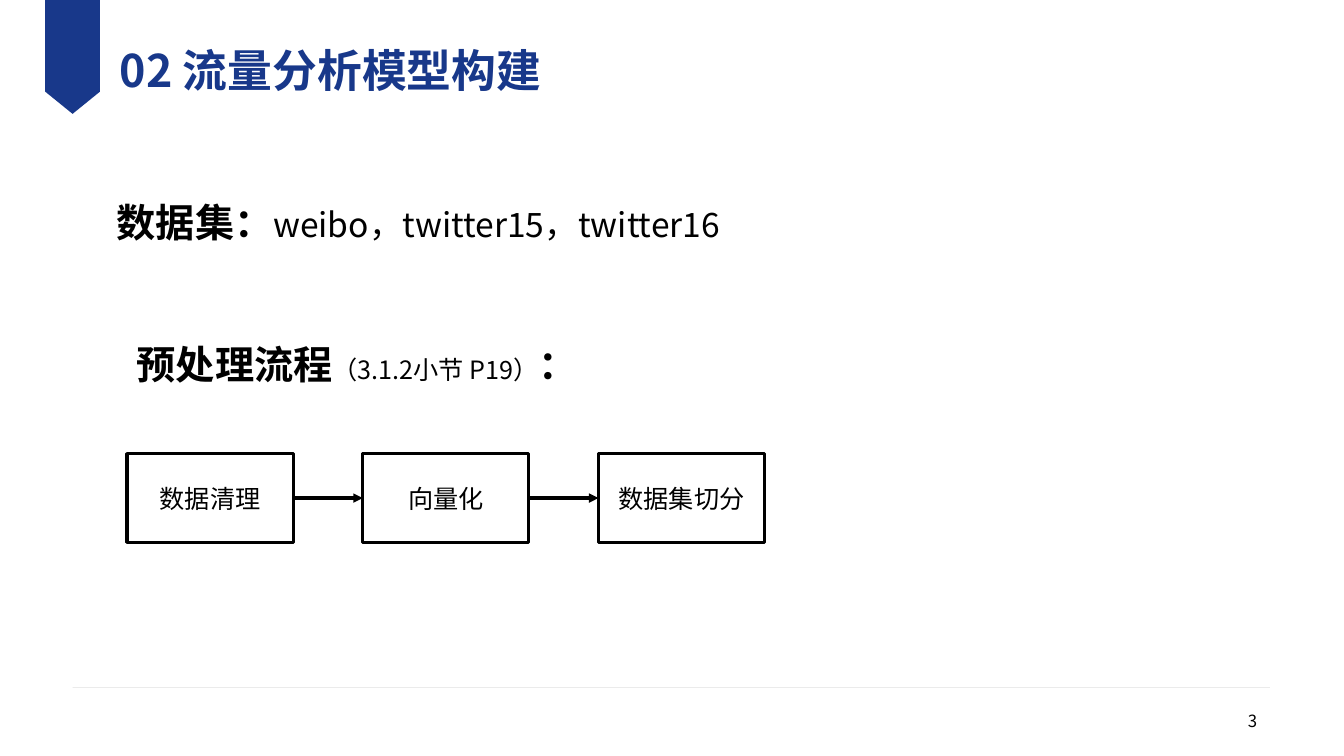
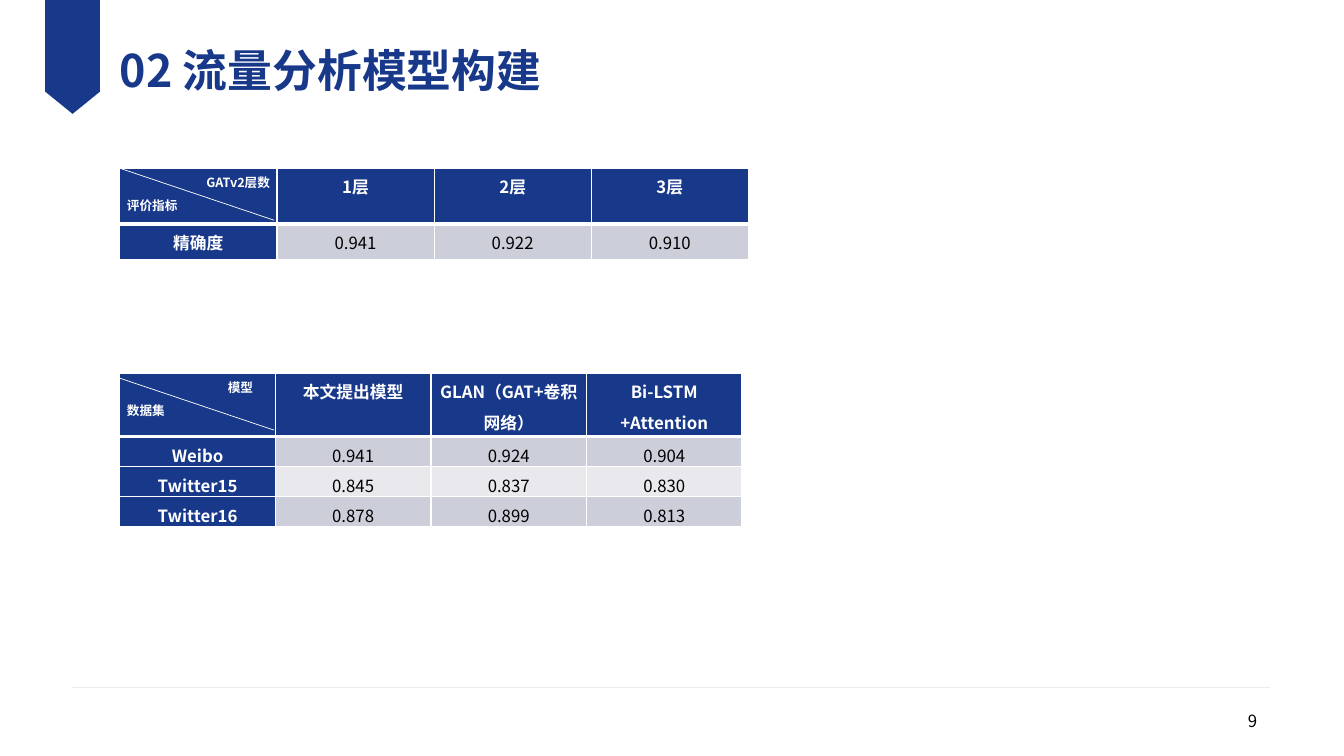
from lxml.etree import SubElement as Sub
from pptx import Presentation
from pptx.dml.color import RGBColor
from pptx.enum.shapes import MSO_CONNECTOR as Link, MSO_SHAPE as Shape
from pptx.enum.text import MSO_ANCHOR as Anchor, PP_ALIGN as Align
from pptx.oxml.ns import qn
from pptx.util import Cm, Pt

NAVY = RGBColor(0x18, 0x38, 0x8A)
WHITE = RGBColor(0xFF, 0xFF, 0xFF)
BLACK = RGBColor(0, 0, 0)
GREY = RGBColor(0xBF, 0xBF, 0xBF)
BANDS = RGBColor(0xCC, 0xCE, 0xDA), RGBColor(0xE8, 0xE8, 0xED)
FONT = "Noto Sans CJK SC"
TITLE = "02 流量分析模型构建"
LEFT = 3.02


def put(par, text, size=12, color=BLACK, bold=False, align=Align.LEFT, gap=None, indent=0):
    """Append a formatted run to a paragraph."""
    par.alignment = align
    if gap:
        par.line_spacing = gap
    if indent:
        par._p.get_or_add_pPr().set("indent", str(Cm(indent)))
    run = par.add_run()
    run.text = text
    font = run.font
    font.size, font.bold, font.name = Pt(size), bold, FONT
    font.color.rgb = color
    Sub(run._r.get_or_add_rPr(), qn("a:ea"), typeface=FONT)


def add_box(slide, x, y, w, h, anchor=Anchor.TOP, inset=None):
    """Add a wrapping text box and return its first paragraph."""
    frame = slide.shapes.add_textbox(Cm(x), Cm(y), Cm(w), Cm(h)).text_frame
    frame.word_wrap = True
    frame.vertical_anchor = anchor
    if inset is not None:
        frame.margin_left = frame.margin_right = Cm(inset)
        frame.margin_top = frame.margin_bottom = Cm(inset)
    return frame.paragraphs[0]


def add_line(slide, x1, y1, x2, y2, color, width):
    """Add a straight line without a shadow."""
    line = slide.shapes.add_connector(Link.STRAIGHT, Cm(x1), Cm(y1), Cm(x2), Cm(y2))
    line.line.color.rgb = color
    line.line.width = Pt(width)
    Sub(line._element.spPr, qn("a:effectLst"))
    return line


def add_frame(deck, page):
    """Add a slide with ribbon, title, rule and page number."""
    slide = deck.slides.add_slide(deck.slide_layouts[6])
    rule = add_line(slide, 1.83, 17.32, 32, 17.32, GREY, 0.25)
    tint = rule._element.spPr.find(".//" + qn("a:srgbClr"))
    Sub(tint, qn("a:alpha"), val="47000")
    path = slide.shapes.build_freeform(Cm(1.14), 0)
    path.add_line_segments(
        [(Cm(x), Cm(y)) for x, y in ((2.52, 0), (2.52, 2.31), (1.83, 2.87), (1.14, 2.31))])
    ribbon = path.convert_to_shape()
    ribbon.shadow.inherit = False
    ribbon.fill.solid()
    ribbon.fill.fore_color.rgb = NAVY
    ribbon.line.fill.background()
    put(add_box(slide, LEFT, 0.66, 22.68, 2.18, Anchor.MIDDLE, 0),
        TITLE, size=32, color=NAVY, bold=True)
    put(add_box(slide, 24.31, 17.65, 7.62, 1.02, Anchor.MIDDLE),
        str(page), align=Align.RIGHT)
    return slide


def add_flow(slide, x, y, steps, w=4.19, h=2.24, pitch=5.94):
    """Add a row of outlined steps joined by arrows."""
    last = None
    for i, step in enumerate(steps):
        box = slide.shapes.add_shape(
            Shape.RECTANGLE, Cm(x + i * pitch), Cm(y), Cm(w), Cm(h))
        box.shadow.inherit = False
        box.fill.background()
        box.line.color.rgb = BLACK
        box.line.width = Pt(2.25)
        box.text_frame.vertical_anchor = Anchor.MIDDLE
        put(box.text_frame.paragraphs[0], step, size=18, align=Align.CENTER)
        if last is not None:
            arrow = add_line(slide, 0, 0, 1, 1, BLACK, 2.25)
            arrow.begin_connect(last, 3)
            arrow.end_connect(box, 1)
            Sub(arrow.line._get_or_add_ln(), qn("a:tailEnd"), type="triangle")
        last = box


def style_cell(cell, fill, top=1, base=1):
    """Set the margins, white borders and fill of a cell."""
    cell.margin_left = cell.margin_right = Cm(0.18)
    cell.margin_top = cell.margin_bottom = 0
    props = cell._tc.get_or_add_tcPr()
    for side, width in (("L", 1), ("R", 1), ("T", top), ("B", base)):
        edge = Sub(props, qn("a:ln" + side), w=str(Pt(width)))
        Sub(Sub(edge, qn("a:solidFill")), qn("a:srgbClr"), val=str(WHITE))
    cell.fill.solid()
    cell.fill.fore_color.rgb = fill


def add_grid(slide, x, y, col, heights, corner, rows, drop=0, **upper):
    """Add a table with a split corner cell."""
    count = len(rows[0])
    table = slide.shapes.add_table(
        len(rows), count, Cm(x), Cm(y), Cm(col * count), Cm(sum(heights))).table
    table.first_row = table.horz_banding = False
    for column in table.columns:
        column.width = Cm(col)
    for r, (row, height) in enumerate(zip(rows, heights)):
        table.rows[r].height = Cm(height)
        for c, text in enumerate(row):
            cell = table.cell(r, c)
            head = r == 0 or c == 0
            style_cell(cell, NAVY if head else BANDS[(r - 1) % 2],
                       top=3 if r == 1 else 1, base=3 if r == 0 else 1)
            frame = cell.text_frame
            for i, part in enumerate(text.split("\n")):
                par = frame.add_paragraph() if i else frame.paragraphs[0]
                if part:
                    put(par, part, color=WHITE if head else BLACK, bold=head,
                        align=Align.CENTER, gap=1.25)
    frame = table.cell(0, 0).text_frame
    style = dict(size=9, color=WHITE, bold=True, gap=1.25)
    put(frame.paragraphs[0], corner[0], **style, **upper)
    put(frame.add_paragraph(), corner[1], **style)
    add_line(slide, x, y + drop, x + 3.89, y + drop + 1.31, WHITE, 0.5)


def add_data(deck):
    """Build the slide on data sets and their preparation."""
    slide = add_frame(deck, 3)
    par = add_box(slide, 0.51, 4.52, 20.07, 1.8)
    style = dict(align=Align.CENTER, gap=1.3)
    put(par, "数据集：", size=28, bold=True, **style)
    put(par, "weibo，twitter15，twitter16", size=24, **style)
    par = add_box(slide, 3.2, 8.46, 22.2, 2.24)
    put(par, "预处理流程", size=28, bold=True)
    put(par, "（3.1.2小节 P19）", size=18)
    put(par, "：", size=28, bold=True)
    add_flow(slide, 3.2, 11.43, ("数据清理", "向量化", "数据集切分"))


def add_scores(deck):
    """Build the slide with both score tables."""
    slide = add_frame(deck, 9)
    add_grid(slide, LEFT, 4.24, 3.96, (1.4, 0.89), ("GATv2层数", "评价指标"), (
        ("", "1层", "2层", "3层"),
        ("精确度", "0.941", "0.922", "0.910"),
    ), align=Align.RIGHT)
    add_grid(slide, LEFT, 9.4, 3.92, (1.6, 0.76, 0.76, 0.76), ("模型", "数据集"), (
        ("", "本文提出模型", "GLAN（GAT+卷积网络）", "Bi-LSTM\n+Attention"),
        ("Weibo", "0.941", "0.924", "0.904"),
        ("Twitter15", "0.845", "0.837", "0.830"),
        ("Twitter16", "0.878", "0.899", "0.813"),
    ), drop=0.13, indent=2.54)


def main():
    """Build and save the deck."""
    deck = Presentation()
    deck.slide_width, deck.slide_height = Cm(33.87), Cm(19.05)
    add_data(deck)
    add_scores(deck)
    deck.save("out.pptx")


if __name__ == "__main__":
    main()
